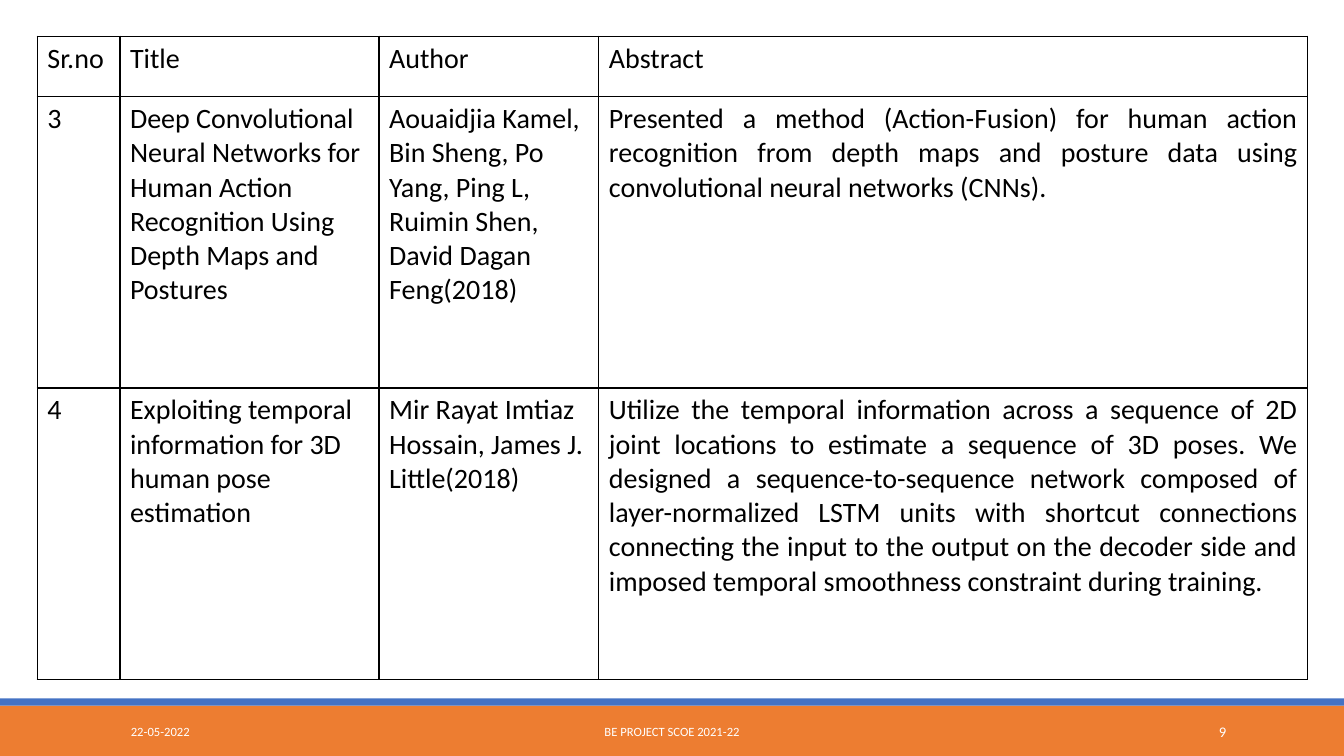
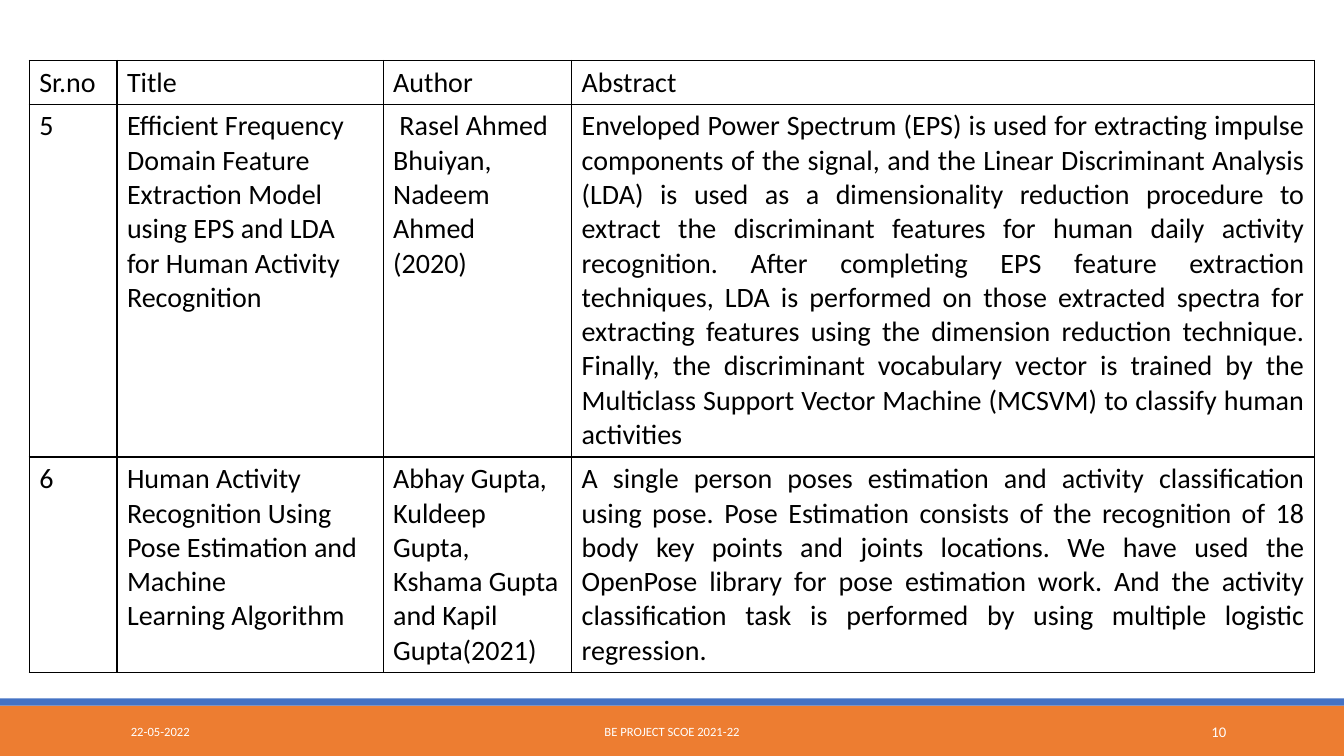
from lxml import etree
from pptx import Presentation
from pptx.dml.color import RGBColor
from pptx.enum.shapes import MSO_SHAPE as Shape
from pptx.enum.text import MSO_ANCHOR as Anchor, PP_ALIGN as Align
from pptx.oxml.ns import qn
from pptx.util import Inches, Pt

ORANGE = RGBColor(0xED, 0x7D, 0x31)
BLUE = RGBColor(0x44, 0x72, 0xC4)
WHITE = RGBColor(0xFF, 0xFF, 0xFF)
BLACK = RGBColor(0, 0, 0)
FONT = "Calibri"

SLIDE_WIDTH, SLIDE_HEIGHT = 13.33, 7.5
BAND_HEIGHT, STRIPE_HEIGHT = 0.5, 0.07
BAND_TOP = SLIDE_HEIGHT - BAND_HEIGHT
FOOTER_TOP, FOOTER_HEIGHT = 7.06, 0.4

BANDS = [
    (BAND_TOP, BAND_HEIGHT, ORANGE),
    (BAND_TOP - STRIPE_HEIGHT, STRIPE_HEIGHT, BLUE),
]
HEADER = ["Sr.no", "Title", "Author", "Abstract"]

# In cell text, a new line starts a paragraph and asterisks enclose italics.
PAPER_TABLES = [
    {
        "number": 9,
        "left": 0.37,
        "top": 0.36,
        "columns": [0.82, 2.57, 2.18, 7.03],
        "rows": [0.6, 2.89, 2.89],
        "papers": [
            ["3",
             "Deep Convolutional Neural Networks for Human Action Recognition "
             "Using Depth Maps and Postures",
             "Aouaidjia Kamel, Bin Sheng, Po Yang, Ping L, Ruimin Shen, "
             "David Dagan Feng(2018)",
             "Presented a method (Action-Fusion) for human action recognition "
             "from depth maps and posture data using convolutional neural "
             "networks (CNNs)."],
            ["4",
             "Exploiting temporal information for 3D human pose estimation",
             "Mir Rayat Imtiaz Hossain, James J. Little(2018)",
             "Utilize the temporal information across a sequence of 2D joint "
             "locations to estimate a sequence of 3D poses. We designed a "
             "sequence-to-sequence network composed of layer-normalized LSTM "
             "units with shortcut connections connecting the input to the "
             "output on the decoder side and imposed temporal smoothness "
             "constraint during training."],
        ],
    },
    {
        "number": 10,
        "left": 0.29,
        "top": 0.6,
        "columns": [0.87, 2.64, 1.87, 7.37],
        "rows": [0.43, 3.5, 2.14],
        "papers": [
            ["5",
             "Efficient Frequency Domain Feature Extraction Model using EPS "
             "and LDA for Human Activity Recognition",
             " Rasel Ahmed Bhuiyan, Nadeem Ahmed\n(2020)",
             "Enveloped Power Spectrum (EPS) is used for extracting impulse "
             "components of the signal, and the Linear Discriminant Analysis "
             "(LDA) is used as a dimensionality reduction procedure to extract "
             "the discriminant features for human daily activity recognition. "
             "After completing EPS feature extraction techniques, LDA is "
             "performed on those extracted spectra for extracting features "
             "using the dimension reduction technique. Finally, the "
             "discriminant vocabulary vector is trained by the Multiclass "
             "Support Vector Machine (MCSVM) to classify human activities"],
            ["6",
             "Human Activity Recognition Using Pose Estimation and Machine\n"
             "Learning Algorithm",
             "Abhay Gupta*, *Kuldeep Gupta, Kshama Gupta and Kapil Gupta(2021)",
             "A single person poses estimation and activity classification "
             "using pose. Pose Estimation consists of the recognition of 18 "
             "body key points and joints locations. We have used the OpenPose "
             "library for pose estimation work. And the activity "
             "classification task is performed by using multiple logistic "
             "regression."],
        ],
    },
]


def write_text(frame, text, size=20, color=BLACK, align=Align.LEFT, anchor=Anchor.TOP):
    """Fill a text frame; new lines split paragraphs, asterisks enclose italics."""
    frame.word_wrap = True
    frame.vertical_anchor = anchor
    for index, line in enumerate(text.split("\n")):
        paragraph = frame.add_paragraph() if index else frame.paragraphs[0]
        paragraph.alignment = align
        for position, piece in enumerate(line.split("*")):
            run = paragraph.add_run()
            run.text = piece
            run.font.name = FONT
            run.font.size = Pt(size)
            run.font.color.rgb = color
            run.font.italic = position % 2 == 1


def draw_borders(cell, color=BLACK, width=1):
    properties = cell._tc.get_or_add_tcPr()
    for index, side in enumerate(("lnL", "lnR", "lnT", "lnB")):
        line = etree.Element(qn(f"a:{side}"), w=str(Pt(width)))
        fill = etree.SubElement(line, qn("a:solidFill"))
        etree.SubElement(fill, qn("a:srgbClr"), val=str(color))
        properties.insert(index, line)


presentation = Presentation()
presentation.slide_width = Inches(SLIDE_WIDTH)
presentation.slide_height = Inches(SLIDE_HEIGHT)
blank_layout = presentation.slide_layouts[6]

for content in PAPER_TABLES:
    slide = presentation.slides.add_slide(blank_layout)

    for top, height, color in BANDS:
        band = slide.shapes.add_shape(
            Shape.RECTANGLE, 0, Inches(top), Inches(SLIDE_WIDTH), Inches(height))
        band.shadow.inherit = False
        band.fill.solid()
        band.fill.fore_color.rgb = color
        band.line.fill.background()

    footers = [
        (1.2, 2.7, "22-05-2022", 9, Align.LEFT),
        (4.03, 5.27, "BE PROJECT SCOE 2021-22", 9, Align.CENTER),
        (10.83, 1.43, str(content["number"]), 10.5, Align.RIGHT),
    ]
    for left, width, text, size, align in footers:
        footer = slide.shapes.add_textbox(
            Inches(left), Inches(FOOTER_TOP), Inches(width), Inches(FOOTER_HEIGHT))
        write_text(footer.text_frame, text, size=size, color=WHITE,
                   align=align, anchor=Anchor.MIDDLE)

    columns, rows = content["columns"], content["rows"]
    table = slide.shapes.add_table(
        len(rows), len(columns), Inches(content["left"]), Inches(content["top"]),
        Inches(sum(columns)), Inches(sum(rows))).table
    table.first_row = table.horz_banding = False
    for column, width in zip(table.columns, columns):
        column.width = Inches(width)
    for row, height in zip(table.rows, rows):
        row.height = Inches(height)

    for row_index, texts in enumerate([HEADER] + content["papers"]):
        for column_index, text in enumerate(texts):
            cell = table.cell(row_index, column_index)
            cell.fill.background()
            draw_borders(cell)
            is_abstract = row_index > 0 and HEADER[column_index] == "Abstract"
            write_text(cell.text_frame, text,
                       align=Align.JUSTIFY if is_abstract else Align.LEFT)

presentation.save("out.pptx")
